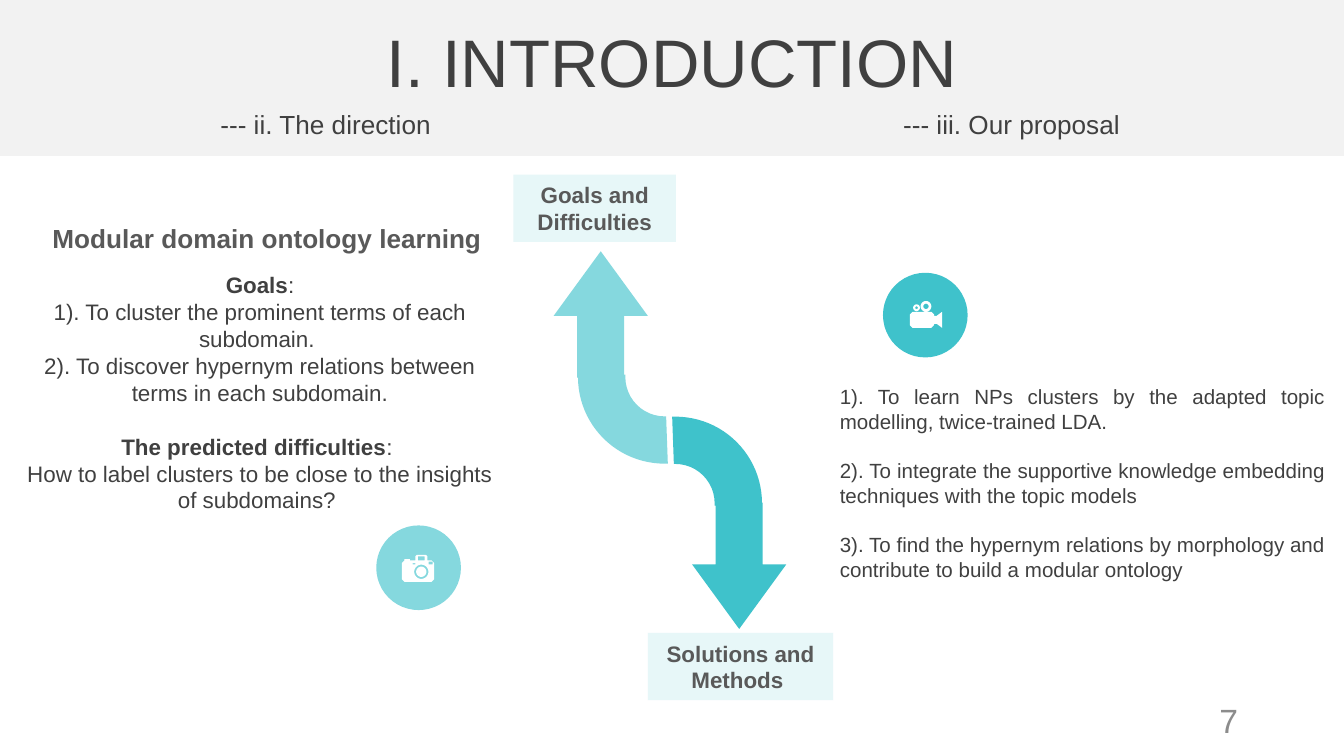
from dataclasses import dataclass
from math import cos, pi, sin

from lxml import etree
from pptx import Presentation
from pptx.dml.color import RGBColor
from pptx.enum import shapes, text
from pptx.oxml.ns import qn
from pptx.util import Emu, Inches, Pt

# Grid: 100 columns by 56.25 rows of square cells
CELL = Inches(0.1)
COLUMNS, ROWS = 100, 56.25

WHITE = RGBColor(0xFF, 0xFF, 0xFF)
BAND = RGBColor(0xF2, 0xF2, 0xF2)
LIGHT_TEAL = RGBColor(0x85, 0xD8, 0xDE)
TEAL = RGBColor(0x3F, 0xC2, 0xCB)
PALE_TEAL = RGBColor(0xE7, 0xF7, 0xF8)
INK = RGBColor(0x40, 0x40, 0x40)
HEADING = RGBColor(0x59, 0x59, 0x59)
PAGE_GREY = RGBColor(0x8C, 0x8C, 0x8C)

KIND = shapes.MSO_SHAPE
ALIGN = text.PP_ALIGN
ANCHOR = text.MSO_ANCHOR
LINE_HEIGHT = 1.2


@dataclass
class Box:
    col: float
    row: float
    cols: float
    rows: float

    def emu(self) -> list[Emu]:
        return [cells(n) for n in (self.col, self.row, self.cols, self.rows)]


@dataclass
class Style:
    size: float
    color: RGBColor
    bold: bool = False
    align: ALIGN = ALIGN.CENTER
    anchor: ANCHOR = ANCHOR.MIDDLE


@dataclass
class Para:
    body: str
    lead: str = ""  # bold opening words
    gap: bool = False  # one empty line's height above


def cells(n: float) -> Emu:
    return Emu(round(n * CELL))


def paint(shape, color: RGBColor) -> None:
    shape.shadow.inherit = False
    shape.fill.solid()
    shape.fill.fore_color.rgb = color
    shape.line.fill.background()


def add_solid(slide, kind, box: Box, color: RGBColor, rotation=0, adjust=()):
    shape = slide.shapes.add_shape(kind, *box.emu())
    paint(shape, color)
    shape.rotation = rotation
    for i, value in enumerate(adjust):
        shape.adjustments[i] = value
    return shape


def write(shape, paras: list[Para], style: Style) -> None:
    frame = shape.text_frame
    frame.word_wrap = True
    frame.vertical_anchor = style.anchor
    for i, para in enumerate(paras):
        line = frame.paragraphs[0] if i == 0 else frame.add_paragraph()
        height = Pt(style.size * LINE_HEIGHT)
        layout = {"alignment": style.align, "line_spacing": height,
                  "space_before": height if para.gap else Pt(0)}
        for name, value in layout.items():
            setattr(line, name, value)
        for words, bold in ((para.lead, True), (para.body, style.bold)):
            if not words:
                continue
            run = line.add_run()
            run.text = words
            look = {"name": "Arial", "size": Pt(style.size), "bold": bold}
            for name, value in look.items():
                setattr(run.font, name, value)
            run.font.color.rgb = style.color


def add_text(slide, box: Box, paras: list[Para], style: Style):
    shape = slide.shapes.add_textbox(*box.emu())
    write(shape, paras, style)
    return shape


def set_tab(line, position: Emu) -> None:
    stops = etree.SubElement(line._p.get_or_add_pPr(), qn("a:tabLst"))
    etree.SubElement(stops, qn("a:tab"), pos=str(position), algn="l")


def circle(col: float, row: float, radius: float, steps: int = 32) -> list:
    return [(col + radius * cos(2 * pi * i / steps),
             row + radius * sin(2 * pi * i / steps)) for i in range(steps)]


def rect(left: float, top: float, right: float, bottom: float) -> list:
    return [(left, top), (right, top), (right, bottom), (left, bottom)]


def add_icon(slide, contours: list) -> None:
    """Draw contours as one outline; inner contours become holes."""
    builder = None
    for contour in contours:
        points = [(cells(col), cells(row)) for col, row in contour]
        if builder is None:
            builder = slide.shapes.build_freeform(*points[0])
        else:
            builder.move_to(*points[0])
        builder.add_line_segments(points[1:], close=True)
    paint(builder.convert_to_shape(), WHITE)


def main() -> None:
    deck = Presentation()
    deck.slide_width, deck.slide_height = cells(COLUMNS), cells(ROWS)
    slide = deck.slides.add_slide(deck.slide_layouts[5])

    # Header band and title
    title = slide.shapes.title
    title.left, title.top, title.width, title.height = Box(0, 1.35, COLUMNS, 6.3).emu()
    write(title, [Para("I. INTRODUCTION")], Style(36, INK))
    band = add_solid(slide, KIND.RECTANGLE, Box(0, 0, COLUMNS, 11.6), BAND)
    title.element.addprevious(band.element)

    # Section names, the second one at a tab stop
    first_col, second_col = 16.4, 67.2
    sections = add_text(slide, Box(0, 7.7, COLUMNS, 3.1),
                        [Para("--- ii. The direction\t--- iii. Our proposal")],
                        Style(14, INK, align=ALIGN.LEFT))
    sections.text_frame.margin_left = cells(first_col)
    set_tab(sections.text_frame.paragraphs[0], cells(second_col - first_col))

    # Double-headed bent arrow: a head and a quarter arc for each half
    bend = (160.743, 2.096, 0.273)
    for color, turn, head, arc in (
            (LIGHT_TEAL, 0, Box(41.2, 18.7, 7, 9.4), Box(43, 21.6, 12.9, 12.9)),
            (TEAL, 180, Box(51.5, 37.4, 7, 9.4), Box(43.8, 31, 12.9, 12.9))):
        add_solid(slide, KIND.UP_ARROW, head, color, turn, (0.5, 0.686))
        add_solid(slide, KIND.BLOCK_ARC, arc, color, 180 - turn, bend)

    # Labels at the arrow's ends
    for box, label in ((Box(38.2, 13, 12.1, 5), "Goals and Difficulties"),
                       (Box(48.2, 47.1, 13.8, 5), "Solutions and Methods ")):
        write(add_solid(slide, KIND.RECTANGLE, box, PALE_TEAL),
              [Para(label)], Style(12, HEADING, bold=True))

    # Left column: direction
    add_text(slide, Box(1.3, 16, 37.7, 3.4),
             [Para("Modular domain ontology learning ")], Style(14, HEADING, bold=True))
    add_text(slide, Box(0.5, 19.6, 37.7, 19.2), [
        Para(":", lead="Goals"),
        Para("1). To cluster the prominent terms of each subdomain. "),
        Para("2). To discover hypernym relations between terms in each subdomain."),
        Para(": ", lead="The predicted difficulties", gap=True),
        Para("How to label clusters to be close to the insights of subdomains? "),
    ], Style(12, INK))

    # Right column: proposal
    add_text(slide, Box(61.5, 28.1, 38.1, 19.5), [
        Para("1). To learn NPs clusters by the adapted topic modelling, twice-trained LDA. "),
        Para("2). To integrate the supportive knowledge embedding techniques "
             "with the topic models", gap=True),
        Para("3). To find the hypernym relations by morphology and contribute "
             "to build a modular ontology", gap=True),
    ], Style(11, INK, align=ALIGN.JUSTIFY, anchor=ANCHOR.TOP))

    # Film camera icon
    add_solid(slide, KIND.OVAL, Box(65.7, 20.3, 6.3, 6.3), TEAL)
    film_body = [(67.9, 23.2), (69.3, 23.2), (69.5, 23.4), (69.5, 23.5), (69.7, 23.5),
                 (70.1, 23.2), (70.1, 24.4), (69.7, 24.1), (69.5, 24.1), (69.5, 24.2),
                 (69.3, 24.4), (67.9, 24.4), (67.7, 24.2), (67.7, 23.4)]
    add_icon(slide, [film_body,
                     circle(68.9, 22.8, 0.4), circle(68.9, 22.8, 0.2),
                     circle(68.2, 22.9, 0.25), circle(68.2, 22.9, 0.1)])

    # Photo camera icon
    add_solid(slide, KIND.OVAL, Box(28, 39.1, 6.3, 6.3), LIGHT_TEAL)
    photo_body = [(30.1, 41.7), (30.1, 41.6), (30.5, 41.6), (30.5, 41.7), (30.9, 41.7),
                  (30.9, 41.4), (31, 41.3), (31.7, 41.3), (31.8, 41.4), (31.8, 41.7),
                  (32.1, 41.7), (32.3, 41.9), (32.3, 43.1), (32.1, 43.3), (30.1, 43.3),
                  (29.9, 43.1), (29.9, 41.9)]
    add_icon(slide, [photo_body,
                     circle(31.35, 42.55, 0.53), circle(31.35, 42.55, 0.38),
                     rect(30.7, 41.9, 30.9, 42), rect(31.9, 41.8, 32.2, 42),
                     rect(31.1, 41.4, 31.6, 41.7)])

    # Page number
    add_text(slide, Box(70.6, 52.1, 22.5, 3), [Para("7")],
             Style(18, PAGE_GREY, align=ALIGN.RIGHT))

    deck.save("out.pptx")


if __name__ == "__main__":
    main()
